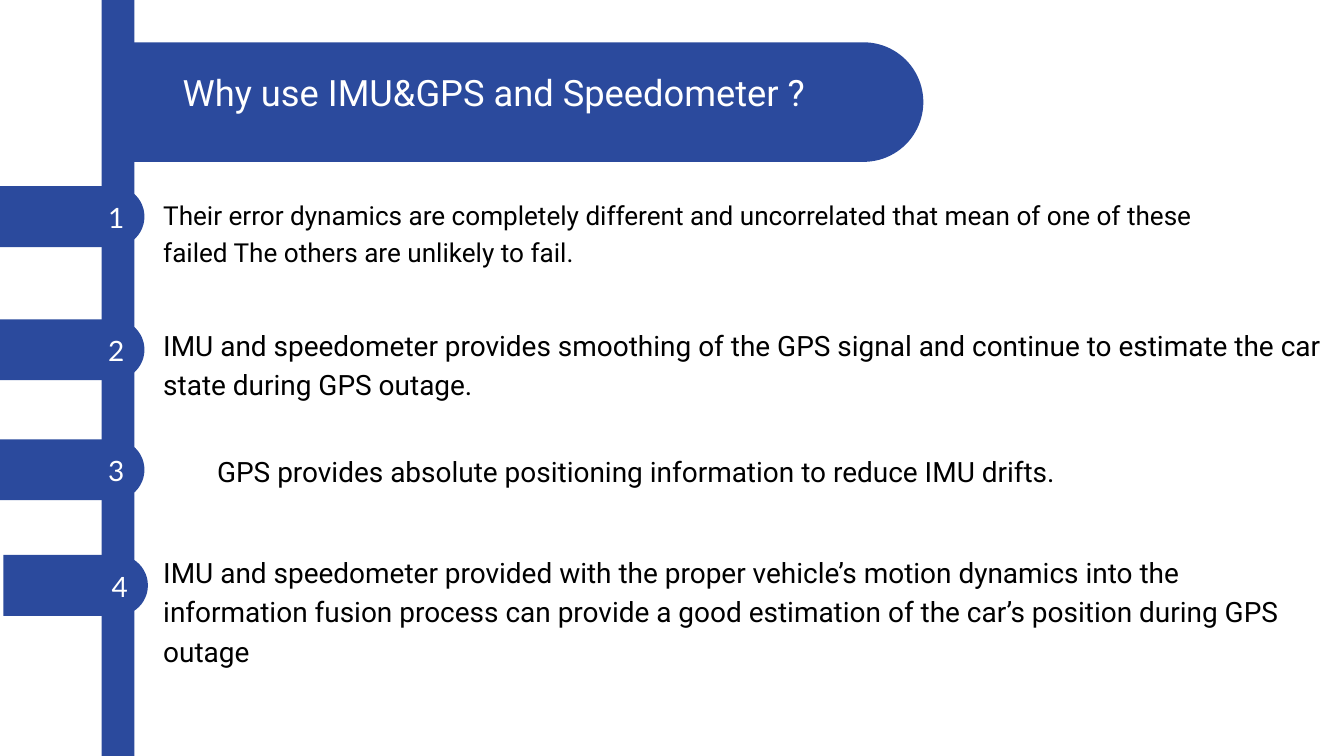
"""Build a slide with a spine, a rounded title banner and four numbered reasons."""
from dataclasses import dataclass

from pptx import Presentation
from pptx import util as u
from pptx.dml.color import RGBColor
from pptx.enum import shapes, text

BLUE, WHITE, BLACK = "2B4A9D", "FFFFFF", "000000"
LEFT, CENTER = text.PP_ALIGN.LEFT, text.PP_ALIGN.CENTER
TAB_WIDTH, TAB_HEIGHT = 5.46, 2.3
TEXT_LEFT = 6.17


@dataclass(frozen=True)
class Area:
    left: float
    top: float
    width: float
    height: float


@dataclass(frozen=True)
class Style:
    font: str
    size: float
    leading: float
    color: str = BLACK
    align: text.PP_ALIGN = LEFT


@dataclass(frozen=True)
class Reason:
    words: str
    tab_top: float
    text_top: float
    width: float
    height: float
    style: Style
    tab_left: float = 0


TITLE = Style("Roboto", 38.9, 54.5, WHITE, CENTER)
NUMBER = Style("Lato", 30, 42, WHITE, CENTER)
BODY = Style("Roboto", 30, 42)
REASONS = [
    Reason("Their error dynamics are completely different and uncorrelated that mean "
           "of one of these failed The others are unlikely to fail.",
           7.04, 7.34, 40.46, 4.83, Style("Roboto", 28, 39.2)),
    Reason("IMU and speedometer provides smoothing of the GPS signal and continue to "
           "estimate the car state during GPS outage.",
           12.07, 12.19, 44.63, 3.05, BODY),
    Reason("GPS provides absolute positioning information to reduce IMU drifts.",
           16.61, 16.97, 35.76, 5.16, Style("Roboto", 30, 42, align=CENTER)),
    Reason("IMU and speedometer provided with the proper vehicle’s motion dynamics into "
           "the information fusion process can provide a good estimation of the car’s "
           "position during GPS outage",
           20.98, 20.8, 44.07, 7.7, BODY, 0.13),
]


def rgb(value: str) -> RGBColor:
    return RGBColor.from_string(value)


def place(shape, area: Area) -> None:
    shape.left, shape.top = u.Cm(area.left), u.Cm(area.top)
    shape.width, shape.height = u.Cm(area.width), u.Cm(area.height)


def add_block(page, kind: shapes.MSO_SHAPE, area: Area):
    block = page.shapes.add_shape(kind, 0, 0, 0, 0)
    place(block, area)
    block.shadow.inherit = False
    block.fill.solid()
    block.fill.fore_color.rgb = rgb(BLUE)
    block.line.fill.background()
    return block


def add_tab(page, area: Area) -> None:
    """Draw a bar whose right end is a half circle."""
    shift = (area.width - area.height) / 2
    upright = Area(area.left + shift, area.top - shift, area.height, area.width)
    tab = add_block(page, shapes.MSO_SHAPE.ROUND_2_SAME_RECTANGLE, upright)
    tab.adjustments[0] = 0.5
    tab.rotation = 90


def write(box, words: str, style: Style) -> None:
    frame = box.text_frame
    frame.word_wrap = True
    frame.auto_size = text.MSO_AUTO_SIZE.NONE
    frame.vertical_anchor = text.MSO_ANCHOR.TOP
    frame.margin_left = frame.margin_right = frame.margin_top = frame.margin_bottom = 0
    frame.text = words
    para = frame.paragraphs[0]
    para.alignment = style.align
    para.line_spacing = u.Pt(style.leading)
    para.font.name = style.font
    para.font.size = u.Pt(style.size)
    para.font.color.rgb = rgb(style.color)


def add_text(page, area: Area, words: str, style: Style) -> None:
    box = page.shapes.add_textbox(0, 0, 0, 0)
    place(box, area)
    write(box, words, style)


def add_title(page, area: Area, words: str) -> None:
    """Fill the title placeholder and bring it in front of the banner."""
    title = page.shapes.title
    place(title, area)
    write(title, words, TITLE)
    title.element.getparent().append(title.element)


def add_reason(page, number: int, reason: Reason) -> None:
    add_tab(page, Area(reason.tab_left, reason.tab_top, TAB_WIDTH, TAB_HEIGHT))
    add_text(page, Area(reason.tab_left + 3.72, reason.tab_top + 0.33, 1.35, 1.45),
             str(number), NUMBER)
    add_text(page, Area(TEXT_LEFT, reason.text_top, reason.width, reason.height),
             reason.words, reason.style)


def main() -> None:
    deck = Presentation()
    deck.slide_width, deck.slide_height = u.Cm(50.8), u.Cm(28.58)
    page = deck.slides.add_slide(deck.slide_layouts.get_by_name("Title Only"))
    add_block(page, shapes.MSO_SHAPE.RECTANGLE, Area(3.84, 0, 1.24, 28.58))
    add_tab(page, Area(5.05, 1.6, 29.85, 4.52))
    add_title(page, Area(5.08, 2.39, 27.18, 3.73), "Why use IMU&GPS and Speedometer ?")
    for number, reason in enumerate(REASONS, start=1):
        add_reason(page, number, reason)
    deck.save("out.pptx")


if __name__ == "__main__":
    main()
